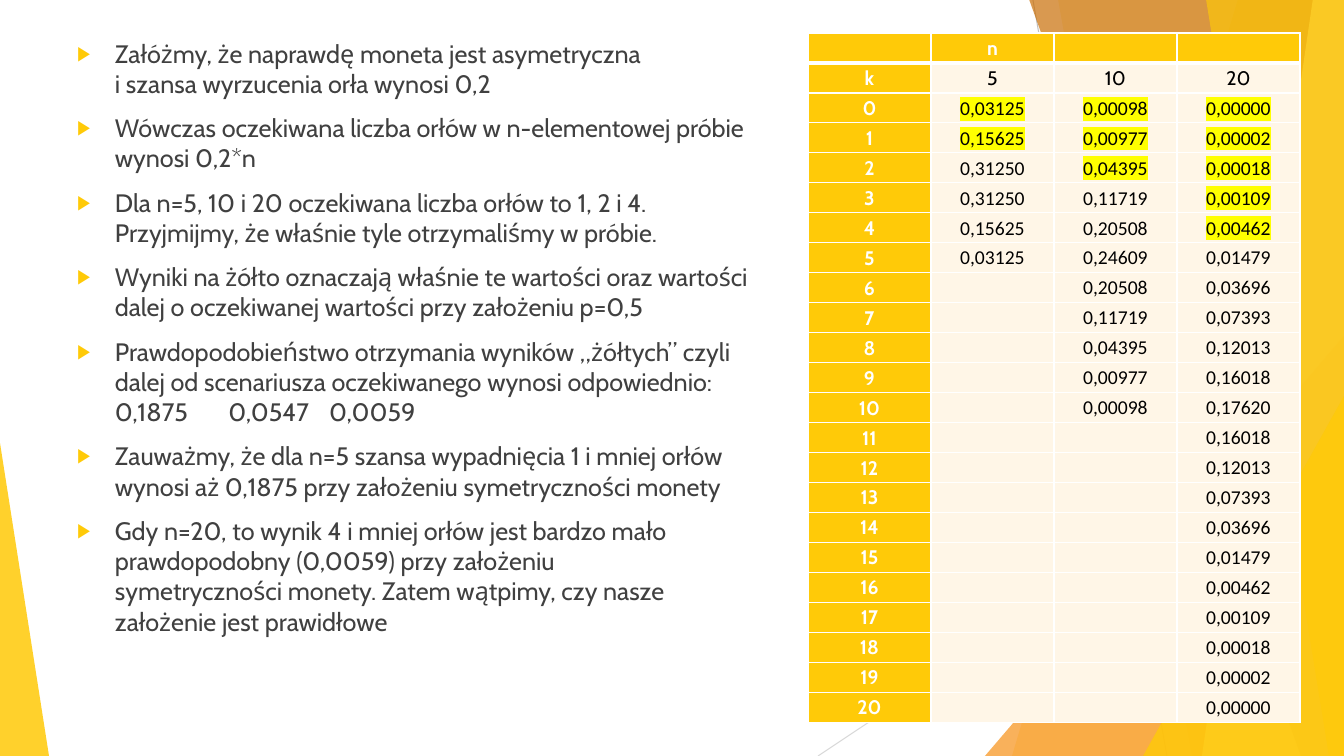
from math import comb

from lxml.etree import SubElement
from pptx import Presentation
from pptx.dml.color import RGBColor
from pptx.enum.shapes import MSO_CONNECTOR, MSO_SHAPE
from pptx.enum.text import MSO_ANCHOR, MSO_AUTO_SIZE, PP_ALIGN
from pptx.oxml.ns import qn
from pptx.util import Pt

COLORS = {
    "gold": "FFCA08", "light gold": "FFDF6B", "orange": "F8931D", "brown": "CA6F06",
    "cream": "FFF6E7", "yellow": "FFFF00", "white": "FFFFFF", "black": "000000",
    "text": "404040", "grey": "BFBFBF", "light grey": "D9D9D9",
}

POINTS = [
    "Załóżmy, że naprawdę moneta jest asymetryczna \ni szansa wyrzucenia orła wynosi 0,2",
    "Wówczas oczekiwana liczba orłów w n-elementowej próbie \nwynosi 0,2*n",
    "Dla n=5, 10 i 20 oczekiwana liczba orłów to 1, 2 i 4. \n"
    "Przyjmijmy, że właśnie tyle otrzymaliśmy w próbie.",
    "Wyniki na żółto oznaczają właśnie te wartości oraz wartości\n"
    "dalej o oczekiwanej wartości przy założeniu p=0,5",
    "Prawdopodobieństwo otrzymania wyników „żółtych” czyli \n"
    "dalej od scenariusza oczekiwanego wynosi odpowiednio:\n0,1875\t0,0547\t0,0059",
    "Zauważmy, że dla n=5 szansa wypadnięcia 1 i mniej orłów \n"
    "wynosi aż 0,1875 przy założeniu symetryczności monety",
    "Gdy n=20, to wynik 4 i mniej orłów jest bardzo mało \n"
    "prawdopodobny (0,0059) przy założeniu \n"
    "symetryczności monety. Zatem wątpimy, czy nasze \nzałożenie jest prawidłowe",
]
SAMPLE_SIZES = [5, 10, 20]
HEAD_COUNTS = range(21)

# Lengths in px
WIDTH, HEIGHT = 1344, 756
PX = 12192000 / WIDTH
BODY_BOX = (67, 33, 948, 654)
TABLE_LEFT, TABLE_TOP, COLUMN_WIDTH, ROW_HEIGHT = 808, 33, 123, 30
RAYS = [((1033, 0), (1167, HEIGHT), "grey"), ((WIDTH, 406), (818, HEIGHT), "light grey")]
# Bands: top x, bottom x. Wedges: left, top, width, tip position. Then colour, opacity in %
FACETS = [
    ("band", (1238, 1012), "gold", 30),
    ("band", (1058, 1192), "gold", 20),
    ("wedge", (985, 336, 359, 1), "orange", 72),
    ("band", (1029, 1301), "brown", 70),
    ("band", (1313, 1202), "light gold", 70),
    ("band", (1206, 1329), "gold", 65),
    ("wedge", (1143, 396, 201, 1), "gold", 80),
    ("wedge", (0, 443, 49, 0), "gold", 85),
]


def emu(*lengths):
    return [round(length * PX) for length in lengths]


def rgb(color):
    return RGBColor.from_string(COLORS[color])


def write_text(paragraph, text, size=14, font="Cabin", color="black", bold=False,
               highlight=None, align=PP_ALIGN.LEFT):
    paragraph.text = text
    paragraph.alignment = align
    for run in paragraph.runs:
        run.font.size = Pt(size)
        run.font.bold = bold
        run.font.color.rgb = rgb(color)
        if highlight:
            mark = SubElement(run.font._element, qn("a:highlight"))
            SubElement(mark, qn("a:srgbClr"), val=COLORS[highlight])
        run.font.name = font
    for line_break in paragraph._p.findall(qn("a:br")):
        SubElement(line_break, qn("a:rPr"), sz=str(size * 100))
    SubElement(paragraph._p, qn("a:endParaRPr"), sz=str(size * 100))


def add_bullet(paragraph):
    paragraph.space_before = Pt(10)
    paragraph.line_spacing = 1.0
    props = paragraph._p.get_or_add_pPr()
    props.set("marL", "342900")
    props.set("indent", "-342900")
    SubElement(SubElement(props, qn("a:buClr")), qn("a:srgbClr"), val=COLORS["gold"])
    SubElement(props, qn("a:buSzPct"), val="80000")
    SubElement(props, qn("a:buChar"), char="▶")


def draw_ray(shapes, start, end, color):
    ray = shapes.add_connector(MSO_CONNECTOR.STRAIGHT, *emu(*start, *end))
    ray.line.color.rgb = rgb(color)
    ray.line.width = Pt(0.75)
    SubElement(ray.element.spPr, qn("a:effectLst"))


def draw_facet(shapes, kind, place, color, opacity):
    if kind == "band":
        top_x, bottom_x = place
        outline = shapes.build_freeform(top_x, -1, scale=PX)
        outline.add_line_segments([(WIDTH, -1), (WIDTH, HEIGHT), (bottom_x, HEIGHT)])
        facet = outline.convert_to_shape()
    else:
        left, top, width, tip = place
        facet = shapes.add_shape(MSO_SHAPE.ISOSCELES_TRIANGLE,
                                 *emu(left, top, width, HEIGHT - top))
        facet.adjustments[0] = tip
    facet.shadow.inherit = False
    facet.line.fill.background()
    facet.fill.solid()
    facet.fill.fore_color.rgb = rgb(color)
    tint = facet.element.spPr.find(".//" + qn("a:srgbClr"))
    SubElement(tint, qn("a:alpha"), val=str(opacity * 1000))


def format_cell(cell, fill, top=1, bottom=1):
    """Set margins, white borders (top and bottom in points) and fill."""
    cell.margin_left, cell.margin_right, cell.margin_top, cell.margin_bottom = emu(1, 1, 1, 0)
    cell.vertical_anchor = MSO_ANCHOR.MIDDLE
    props = cell._tc.get_or_add_tcPr()
    for side, width in (("L", 1), ("R", 1), ("T", top), ("B", bottom)):
        border = SubElement(props, qn(f"a:ln{side}"), w=str(Pt(width)))
        SubElement(SubElement(border, qn("a:solidFill")), qn("a:srgbClr"), val=COLORS["white"])
    cell.fill.solid()
    cell.fill.fore_color.rgb = rgb(fill)


def probability(n, k):
    """Chance of k heads in n tosses of a fair coin, with a decimal comma."""
    return f"{comb(n, k) / 2 ** n:.5f}".replace(".", ",") if k <= n else ""


def add_probabilities(shapes):
    labels = ["", "k", *map(str, HEAD_COUNTS)]
    columns = len(SAMPLE_SIZES) + 1
    table = shapes.add_table(len(labels), columns, *emu(
        TABLE_LEFT, TABLE_TOP, COLUMN_WIDTH * columns, ROW_HEIGHT * len(labels))).table
    table.first_row = table.horz_banding = False
    for column in table.columns:
        column.width, = emu(COLUMN_WIDTH)
    for row in table.rows:
        row.height, = emu(ROW_HEIGHT)

    for r, label in enumerate(labels):
        for c in range(columns):
            look = {"align": PP_ALIGN.CENTER}
            heading = r == 0 or c == 0
            if heading:
                text = "n" if (r, c) == (0, 1) else label if c == 0 else ""
                look.update(color="white", bold=True)
            elif r == 1:
                text = str(SAMPLE_SIZES[c - 1])
            else:
                n, k = SAMPLE_SIZES[c - 1], HEAD_COUNTS[r - 2]
                text = probability(n, k)
                look.update(font="Calibri", highlight="yellow" if k <= n // 5 else None)
            cell = table.cell(r, c)
            format_cell(cell, "gold" if heading else "cream",
                        top=3 if r == 1 else 1, bottom=3 if r == 0 else 1)
            write_text(cell.text_frame.paragraphs[0], text, **look)


def main():
    deck = Presentation()
    deck.slide_width, deck.slide_height = emu(WIDTH, HEIGHT)
    slide = deck.slides.add_slide(deck.slide_layouts[1])
    shapes = slide.shapes
    title = shapes.title.element
    title.getparent().remove(title)

    for ray in RAYS:
        draw_ray(shapes, *ray)
    for facet in FACETS:
        draw_facet(shapes, *facet)

    body = slide.placeholders[1]
    shapes.element.append(body.element)
    body.left, body.top, body.width, body.height = emu(*BODY_BOX)
    frame = body.text_frame
    frame.auto_size = MSO_AUTO_SIZE.NONE
    frame.vertical_anchor = MSO_ANCHOR.TOP
    for i, point in enumerate(POINTS):
        paragraph = frame.add_paragraph() if i else frame.paragraphs[0]
        write_text(paragraph, point, size=18, color="text")
        add_bullet(paragraph)

    add_probabilities(shapes)
    deck.save("out.pptx")


if __name__ == "__main__":
    main()
